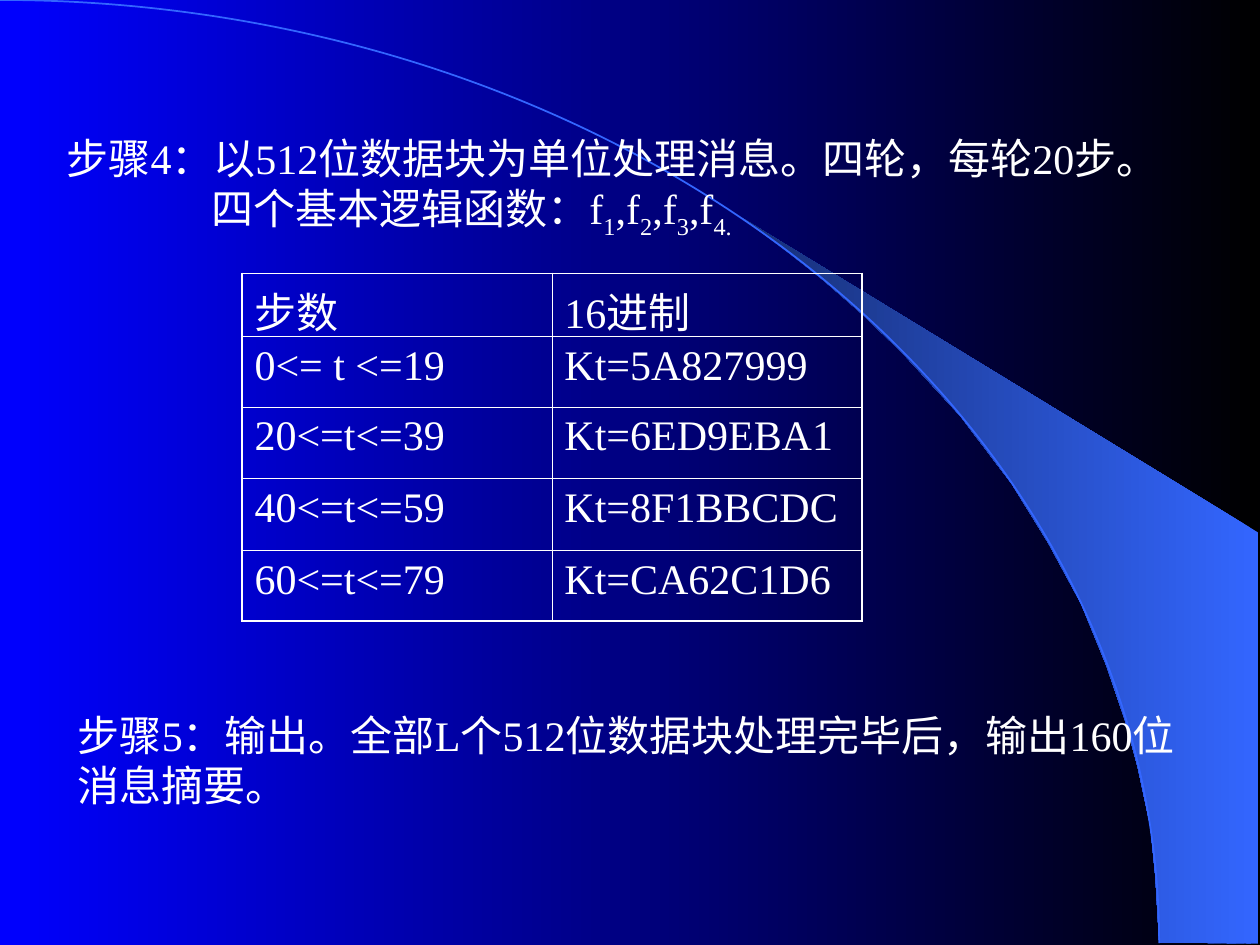
import pptx
import pptx.dml.color
import pptx.enum.shapes
import pptx.enum.text
import pptx.oxml
import pptx.oxml.ns
import pptx.util
from pptx.util import Inches

COLORS = {"night": "000000", "blue": "0000FF", "beam": "3366FF",
          "beam_dark": "172F75", "text": "FFFFFF"}
BEAM = [(9.2, 7.48), (9.99, 7.49), (9.99, 4.23), (5.89, 1.73), (6.24, 1.99),
        (6.53, 2.22), (6.85, 2.5), (7.16, 2.8), (7.62, 3.3), (8.03, 3.84),
        (8.32, 4.31), (8.58, 4.79), (8.78, 5.28), (8.93, 5.72), (9.03, 6.09),
        (9.13, 6.56), (9.17, 6.96)]
STEP_4 = [["步骤4：以512位数据块为单位处理消息。四轮，每轮20步。"],
          ["四个基本逻辑函数：f", "1", ",f", "2", ",f", "3", ",f", "4."]]
STEP_5 = [["步骤5：输出。全部L个512位数据块处理完毕后，输出160位"], ["消息摘要。"]]
ROUNDS = [("步数", "16进制"), ("0<= t <=19", "Kt=5A827999"),
          ("20<=t<=39", "Kt=6ED9EBA1"), ("40<=t<=59", "Kt=8F1BBCDC"),
          ("60<=t<=79", "Kt=CA62C1D6")]
ROW_HEIGHTS = [0.5, 0.56, 0.57, 0.57, 0.56]
BODY_FONT = {"name": "Times New Roman", "size": pptx.util.Pt(24)}


def rgb(name):
    """Return the named palette colour."""
    return pptx.dml.color.RGBColor.from_string(COLORS[name])


def set_all(target, values):
    """Set each attribute of target from a dict."""
    for key, value in values.items():
        setattr(target, key, value)


def style_font(font):
    """Apply the body font."""
    set_all(font, BODY_FONT)
    font.color.rgb = rgb("text")


def fill_gradient(fill, start, end):
    """Fill with a gradient running from right to left."""
    fill.gradient()
    fill.gradient_angle = 180
    for stop, name in zip(fill.gradient_stops, (start, end)):
        stop.color.rgb = rgb(name)


def add_beam(slide):
    """Add the light beam and the arc along its edge."""
    points = [(Inches(x), Inches(y)) for x, y in BEAM]
    builder = slide.shapes.build_freeform(*points[0], scale=1.0)
    builder.add_line_segments(points[1:], close=True)
    beam = builder.convert_to_shape()
    fill_gradient(beam.fill, "beam", "beam_dark")
    beam.line.fill.background()
    arc = slide.shapes.add_shape(
        pptx.enum.shapes.MSO_SHAPE.ARC,
        Inches(-9.2), Inches(0), Inches(18.4), Inches(14.97))
    arc.fill.background()
    arc.line.color.rgb = rgb("beam")
    arc.line.width = pptx.util.Pt(1)
    for shape in (beam, arc):
        shape.shadow.inherit = False


def add_step(slide, box, lines, indent=0):
    """Add a step whose odd runs are subscripts and whose second line is indented."""
    frame = slide.shapes.add_textbox(*map(Inches, box)).text_frame
    set_all(frame, {"word_wrap": False,
                    "auto_size": pptx.enum.text.MSO_AUTO_SIZE.SHAPE_TO_FIT_TEXT})
    for number, pieces in enumerate(lines):
        line = frame.add_paragraph() if number else frame.paragraphs[0]
        if number and indent:
            line._p.get_or_add_pPr().set("marL", str(Inches(indent)))
        for position, piece in enumerate(pieces):
            run = line.add_run()
            run.text = piece
            style_font(run.font)
            if position % 2:
                run._r.get_or_add_rPr().set("baseline", "-25000")


def add_borders(cell, outer_sides):
    """Draw cell borders, heavier on the outer sides of the table."""
    properties = cell._tc.get_or_add_tcPr()
    namespace = pptx.oxml.ns.nsdecls("a")
    for position, side in enumerate("LRTB"):
        width = pptx.util.Pt(1.08 if side in outer_sides else 0.45)
        properties.insert(position, pptx.oxml.parse_xml(
            f'<a:ln{side} {namespace} w="{width}"><a:solidFill>'
            f'<a:srgbClr val="{COLORS["text"]}"/></a:solidFill></a:ln{side}>'))


def add_rounds_table(slide):
    """Add the table of step ranges and their constants."""
    table = slide.shapes.add_table(
        len(ROUNDS), 2, Inches(1.92), Inches(2.17),
        Inches(4.92), Inches(sum(ROW_HEIGHTS))).table
    set_all(table, {"first_row": False, "horz_banding": False})
    for row, (texts, height) in enumerate(zip(ROUNDS, ROW_HEIGHTS)):
        table.rows[row].height = Inches(height)
        for column, text in enumerate(texts):
            cell = table.cell(row, column)
            cell.text = text
            cell.fill.background()
            style_font(cell.text_frame.paragraphs[0].runs[0].font)
            outer_sides = "LR"[column]
            outer_sides += {0: "T", len(ROUNDS) - 1: "B"}.get(row, "")
            add_borders(cell, outer_sides)


def main():
    """Build and save the slide."""
    presentation = pptx.Presentation()
    set_all(presentation, {"slide_width": Inches(10), "slide_height": Inches(7.5)})
    slide = presentation.slides.add_slide(presentation.slide_layouts[6])
    fill_gradient(slide.background.fill, "night", "blue")
    add_beam(slide)
    add_step(slide, (0.43, 1, 9.34, 0.9), STEP_4, indent=1.15)
    add_step(slide, (0.52, 5.58, 9.54, 0.9), STEP_5)
    add_rounds_table(slide)
    presentation.save("out.pptx")


if __name__ == "__main__":
    main()
